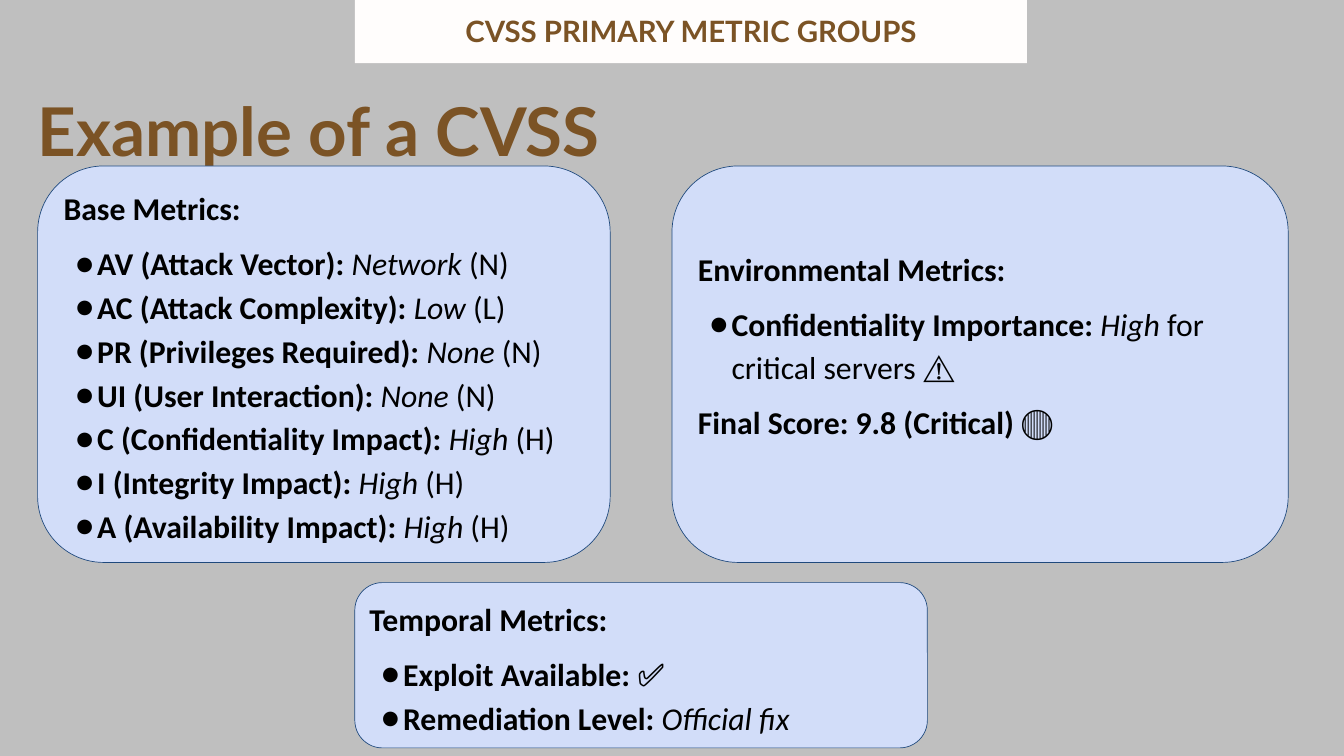
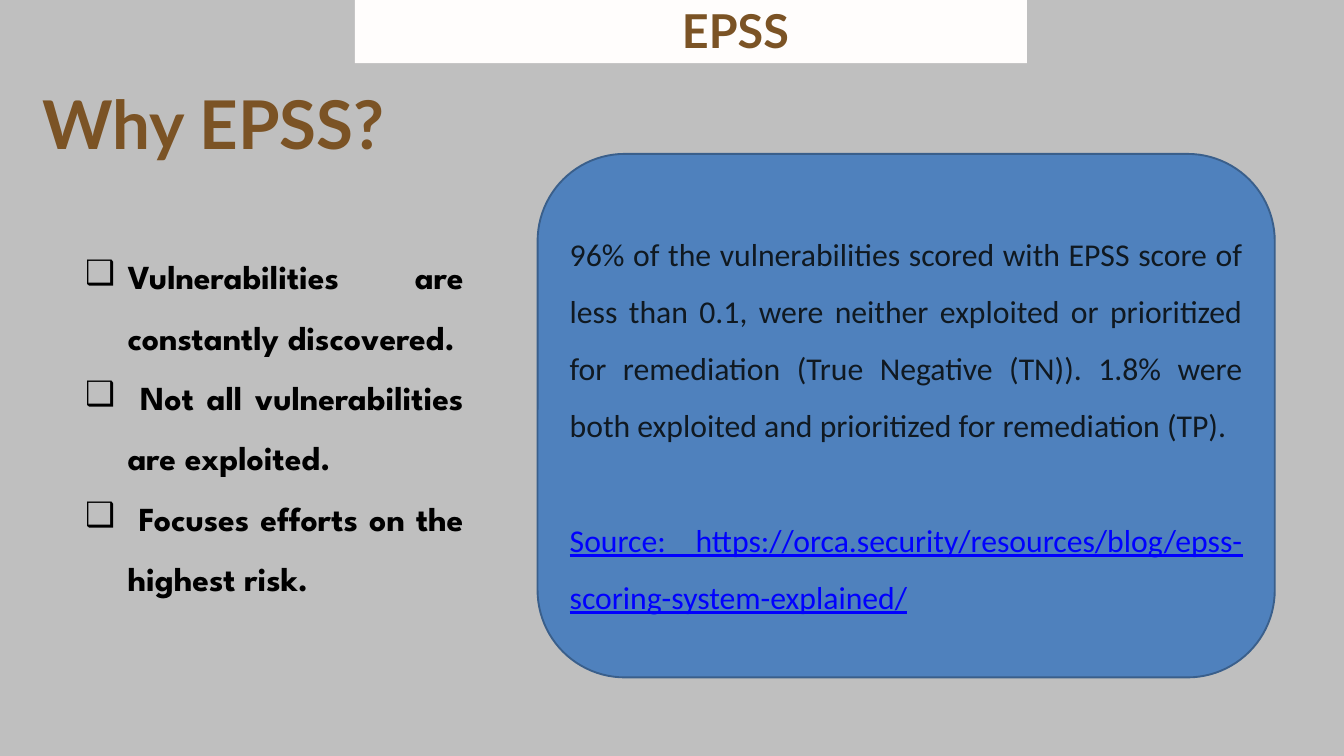
from lxml.etree import SubElement
from pptx import Presentation
from pptx.dml.color import RGBColor
from pptx.enum.shapes import MSO_SHAPE as Preset
from pptx.enum.text import MSO_ANCHOR as Anchor, PP_ALIGN as Align
from pptx.oxml.ns import qn
from pptx.util import Inches, Pt

BACKGROUND = RGBColor(0xBF, 0xBF, 0xBF)
BAND = RGBColor(0xFF, 0xFD, 0xFC)
BROWN = RGBColor(0x7B, 0x53, 0x25)
CARD = RGBColor(0xD2, 0xDD, 0xF9)
CARD_LINE = RGBColor(0x1F, 0x49, 0x7D)
BLUE = RGBColor(0x4F, 0x81, 0xBD)
BLUE_LINE = RGBColor(0x3A, 0x5F, 0x8B)
BLACK = RGBColor(0, 0, 0)
INK = RGBColor(0x10, 0x19, 0x21)
LINK = RGBColor(0, 0, 0xFF)

HEADING_FONT = "Lato"
BODY_FONT = "Calibri"
LIST_FONT = "League Spartan"
BODY_SIZE = 34

BASE_METRICS = [
    ("AV (Attack Vector): ", "Network", " (N)"),
    ("AC (Attack Complexity): ", "Low", " (L)"),
    ("PR (Privileges Required): ", "None", " (N)"),
    ("UI (User Interaction): ", "None", " (N)"),
    ("C (Confidentiality Impact): ", "High", " (H)"),
    ("I (Integrity Impact): ", "High", " (H)"),
    ("A (Availability Impact): ", "High", " (H)"),
]
TEMPORAL_METRICS = [
    ("Exploit Available:", "", " ✅"),
    ("Remediation Level: ", "Official fix", ""),
]
ENVIRONMENTAL_METRICS = [
    ("Confidentiality Importance: ", "High", " for critical servers ⚠️"),
]
FINAL_SCORE = ("Final Score: 9.8 (Critical)", "", " 🔴")
REASONS = [
    "Vulnerabilities are constantly discovered.",
    " Not all vulnerabilities are exploited.",
    " Focuses efforts on the highest risk.",
]
FINDING = (
    "96% of the vulnerabilities scored with EPSS score of less than 0.1, "
    "were neither exploited or prioritized for remediation (True Negative (TN)). "
    "1.8% were both exploited and prioritized for remediation (TP)."
)
SOURCE = "Source: https://orca.security/resources/blog/epss-scoring-system-explained/"


def set_font(paragraph, name, size, color, bold=None):
    font = paragraph.font
    font.name = name
    font.size = Pt(size)
    font.color.rgb = color
    font.bold = bold


def set_bullet(paragraph, character, typeface, margin, indent):
    properties = paragraph._p.get_or_add_pPr()
    properties.set("marL", str(Inches(margin)))
    properties.set("indent", str(Inches(indent)))
    color = SubElement(properties, qn("a:buClr"))
    SubElement(color, qn("a:srgbClr"), val=str(BLACK))
    SubElement(properties, qn("a:buFont"), typeface=typeface)
    SubElement(properties, qn("a:buChar"), char=character)


def set_insets(frame, left, top, right, bottom):
    frame.margin_left, frame.margin_top = Inches(left), Inches(top)
    frame.margin_right, frame.margin_bottom = Inches(right), Inches(bottom)


def add_text_box(slide, box, insets=(0, 0, 0, 0)):
    frame = slide.shapes.add_textbox(*map(Inches, box)).text_frame
    frame.word_wrap = True
    set_insets(frame, *insets)
    return frame


def add_box(slide, preset, box, fill, line=None, line_width=0):
    shape = slide.shapes.add_shape(preset, *map(Inches, box))
    shape.shadow.inherit = False
    shape.fill.solid()
    shape.fill.fore_color.rgb = fill
    if line is None:
        shape.line.fill.background()
    else:
        shape.line.color.rgb = line
        shape.line.width = Pt(line_width)
    frame = shape.text_frame
    frame.word_wrap = True
    frame.vertical_anchor = Anchor.MIDDLE
    return frame


def next_paragraph(frame):
    first = frame.paragraphs[0]
    return frame.add_paragraph() if first.runs else first


def add_heading(slide, text, box, size, alignment=Align.LEFT):
    paragraph = add_text_box(slide, box).paragraphs[0]
    paragraph.text = text
    paragraph.alignment = alignment
    paragraph.line_spacing = Pt(size * 1.4)
    set_font(paragraph, HEADING_FONT, size, BROWN, True)


def add_title(slide, text, left, top):
    add_heading(slide, text, (left, top, 10.3, 1.4), 72)


def add_band(slide, text, box, size):
    add_box(slide, Preset.RECTANGLE, (5.28, -10.31, 10, 11.25), BAND)
    add_heading(slide, text, box, size, Align.RIGHT)


def add_metric_line(frame, parts, space_before=0, bulleted=False):
    paragraph = next_paragraph(frame)
    paragraph.alignment = Align.LEFT
    paragraph.line_spacing = 1.15
    paragraph.space_before = Pt(space_before)
    if bulleted:
        set_bullet(paragraph, "●", BODY_FONT, 0.5, -0.33)
    set_font(paragraph, BODY_FONT, BODY_SIZE, BLACK)
    for text, bold, italic in zip(parts, (True, False, False), (False, True, False)):
        if text:
            run = paragraph.add_run()
            run.text = text
            run.font.bold = bold
            run.font.italic = italic


def add_metric_card(slide, box, heading, metrics, bottom_inset=0.1):
    frame = add_box(slide, Preset.ROUNDED_RECTANGLE, box, CARD, CARD_LINE, 0.75)
    set_insets(frame, 0.1, 0.1, 0.1, bottom_inset)
    add_metric_line(frame, (heading,))
    for index, parts in enumerate(metrics):
        add_metric_line(frame, parts, 0 if index else 12, True)
    return frame


def add_justified(frame, text, name, size, color, bold=False, bullet=None):
    paragraph = next_paragraph(frame)
    paragraph.text = text
    paragraph.alignment = Align.JUSTIFY
    paragraph.line_spacing = 1.5
    if bullet:
        set_bullet(paragraph, bullet, name, 0.63, -0.63)
    set_font(paragraph, name, size, color, bold)
    return paragraph


def add_slide(presentation):
    slide = presentation.slides.add_slide(presentation.slide_layouts[6])
    slide.background.fill.solid()
    slide.background.fill.fore_color.rgb = BACKGROUND
    return slide


def build_cvss_slide(presentation):
    slide = add_slide(presentation)
    add_band(slide, "CVSS PRIMARY METRIC GROUPS", (6.36, 0.11, 7.28, 1.23), 31.5)
    add_title(slide, "Example of a CVSS", 0.56, 1.13)
    add_metric_card(slide, (0.56, 2.47, 8.52, 5.9), "Base Metrics:", BASE_METRICS)
    add_metric_card(slide, (5.28, 8.67, 8.52, 2.46), "Temporal Metrics:", TEMPORAL_METRICS)
    environmental = add_metric_card(
        slide, (10, 2.47, 9.17, 5.9), "Environmental Metrics:", ENVIRONMENTAL_METRICS, 0.75
    )
    add_metric_line(environmental, FINAL_SCORE, 12)


def build_epss_slide(presentation):
    slide = add_slide(presentation)
    add_band(slide, "EPSS", (8.82, -0.11, 2.92, 0.97), 50)
    add_title(slide, "Why EPSS?", 0.63, 1.03)
    insets = (0.1, 0.05, 0.1, 0.05)
    reasons = add_text_box(slide, (1.17, 3.46, 5.83, 7.7), insets)
    for reason in REASONS:
        add_justified(reasons, reason, LIST_FONT, 36, BLACK, True, "❑")
    finding = add_box(
        slide, Preset.ROUNDED_RECTANGLE, (8, 2.29, 10.97, 7.79), BLUE, BLUE_LINE, 2
    )
    set_insets(finding, *insets)
    add_justified(finding, FINDING, BODY_FONT, BODY_SIZE, INK)
    source = add_justified(finding, SOURCE, BODY_FONT, BODY_SIZE, LINK)
    source.space_before = Pt(62)
    source.font.underline = True


def main():
    presentation = Presentation()
    presentation.slide_width = Inches(20)
    presentation.slide_height = Inches(11.25)
    build_cvss_slide(presentation)
    build_epss_slide(presentation)
    presentation.save("out.pptx")


if __name__ == "__main__":
    main()
